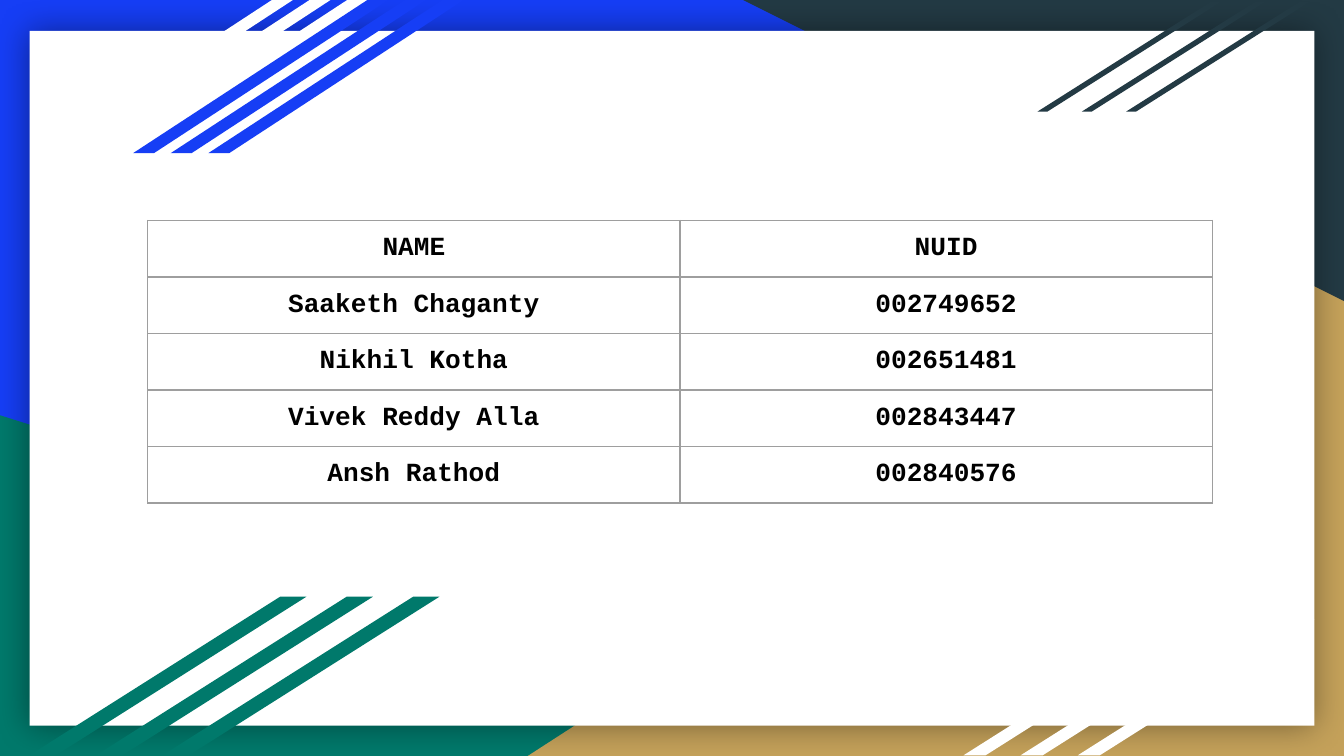
"""Build a team slide: a name and ID table on a white card with coloured corners."""
from lxml import etree
from pptx import Presentation
from pptx.dml.color import RGBColor
from pptx.enum.shapes import MSO_SHAPE
from pptx.enum.text import PP_ALIGN
from pptx.oxml.ns import qn
from pptx.util import Inches, Pt

BLUE = RGBColor(0x16, 0x3E, 0xF5)
GREEN = RGBColor(0x00, 0x79, 0x6B)
GOLD = RGBColor(0xC4, 0xA1, 0x5A)
SLATE = RGBColor(0x23, 0x3A, 0x44)
WHITE = RGBColor(0xFF, 0xFF, 0xFF)
BLACK = RGBColor(0x00, 0x00, 0x00)
GREY = RGBColor(0x9E, 0x9E, 0x9E)

prs = Presentation()
prs.slide_width = Inches(10)
prs.slide_height = Inches(10 * 9 / 16)
s = prs.slides.add_slide(prs.slide_layouts[6])
s.background.fill.solid()
s.background.fill.fore_color.rgb = BLUE


def add_shape(kind, x, y, w, h, color):
    sp = s.shapes.add_shape(kind, Inches(x), Inches(y), Inches(w), Inches(h))
    sp.fill.solid()
    sp.fill.fore_color.rgb = color
    sp.line.fill.background()
    sp.shadow.inherit = False
    return sp


def add_color(parent, color, alpha=100):
    clr = etree.SubElement(parent, qn("a:srgbClr"), val=str(color))
    if alpha < 100:
        etree.SubElement(clr, qn("a:alpha"), val=str(alpha * 1000))


add_shape(MSO_SHAPE.RIGHT_TRIANGLE, 0, 3.09, 8.06, 2.54, GREEN)
gold = add_shape(MSO_SHAPE.RIGHT_TRIANGLE, 3.92, 1.7, 6.08, 3.93, GOLD)
gold._element.spPr.find(qn("a:xfrm")).set("flipH", "1")
slate = add_shape(MSO_SHAPE.RIGHT_TRIANGLE, 5.53, 0, 4.47, 2.24, SLATE)
slate.rotation = 180

card = add_shape(MSO_SHAPE.RECTANGLE, 0.22, 0.23, 9.56, 5.17, WHITE)
effects = card._element.spPr.find(qn("a:effectLst"))
shadow = etree.SubElement(effects, qn("a:outerShdw"), blurRad=str(Pt(18)),
                          dist="0", dir="0", algn="ctr", rotWithShape="0")
add_color(shadow, BLACK, 40)

stripe_groups = [
    (0.28, 0, 1.9, 1.14, 0.56, 1.53, WHITE),
    (0.99, 0, 1.9, 1.14, 0.56, 1.53, BLUE),
    (7.72, 0.01, 1.37, 0.82, 0.66, 1.58, SLATE),
    (7.17, 4.61, 1.76, 1.01, 0.85, 1.58, WHITE),
    (0.22, 4.44, 2.06, 1.18, 0.99, 1.58, GREEN),
]
for x, y, w, h, spread, slant, color in stripe_groups:
    for i in reversed(range(3)):
        stripe = add_shape(MSO_SHAPE.PARALLELOGRAM, x + i * spread / 2, y, w, h, color)
        stripe.adjustments[0] = slant

rows = [
    ("NAME", "NUID"),
    ("Saaketh Chaganty", "002749652"),
    ("Nikhil Kotha", "002651481"),
    ("Vivek Reddy Alla", "002843447"),
    ("Ansh Rathod", "002840576"),
]
table = s.shapes.add_table(len(rows), 2, Inches(1.1), Inches(1.64),
                           Inches(7.92), Inches(0.42 * len(rows))).table
table.first_row = table.horz_banding = False
for r, row in enumerate(rows):
    for c, text in enumerate(row):
        cell = table.cell(r, c)
        cell.text = text
        cell.margin_left = cell.margin_right = Inches(0.1)
        cell.margin_top = cell.margin_bottom = Inches(0.1)
        cell.fill.background()
        p = cell.text_frame.paragraphs[0]
        p.alignment = PP_ALIGN.CENTER
        p.font.name = "Courier New"
        p.font.size = Pt(14)
        p.font.bold = True
        p.font.color.rgb = BLACK
        tcPr = cell._tc.get_or_add_tcPr()
        for i, side in enumerate("LRTB"):
            ln = etree.Element(qn(f"a:ln{side}"), w=str(Pt(0.75)))
            add_color(etree.SubElement(ln, qn("a:solidFill")), GREY)
            tcPr.insert(i, ln)

prs.save("out.pptx")
